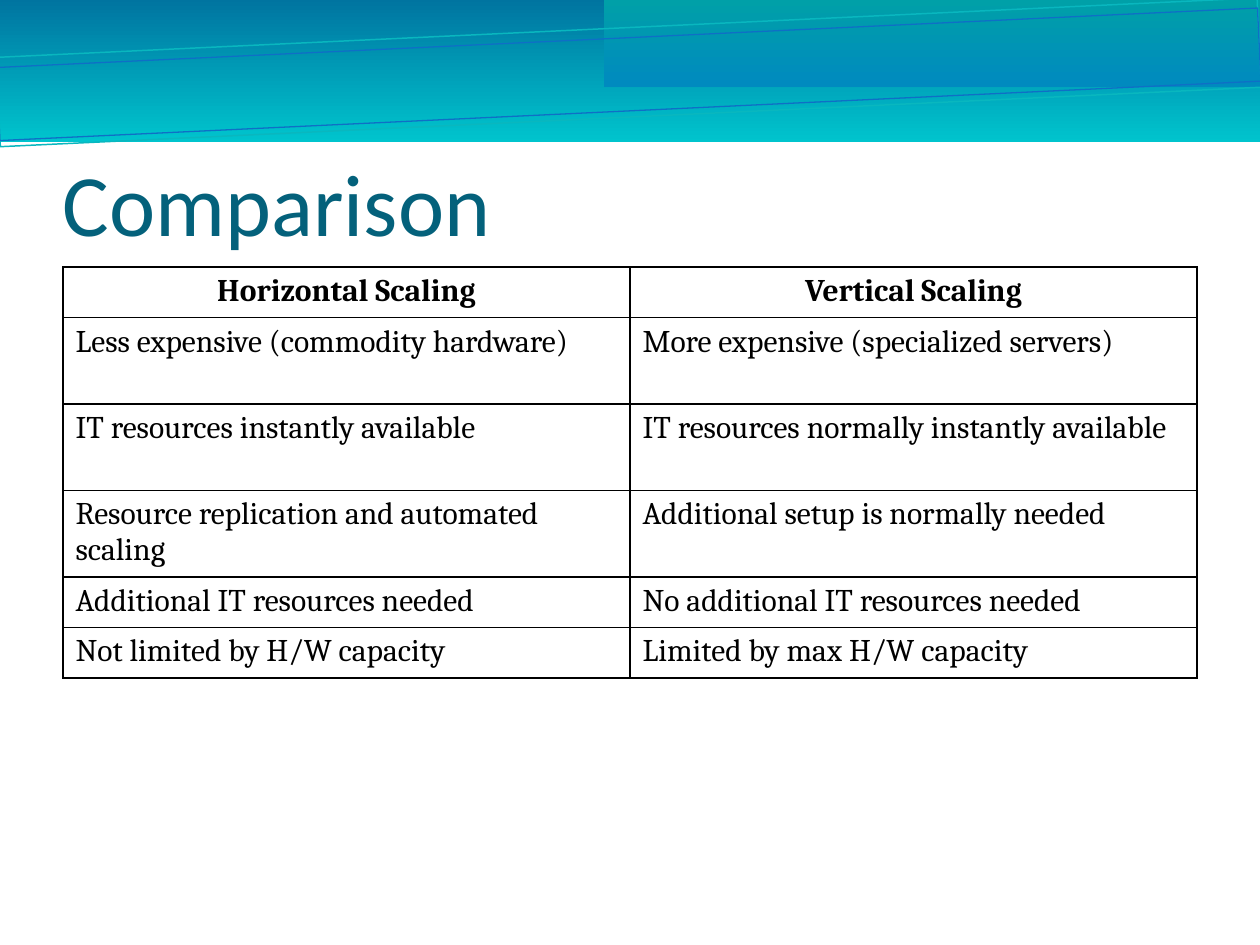
import pptx
import pptx.dml.color
import pptx.enum.shapes
import pptx.enum.text
import pptx.oxml
import pptx.oxml.ns
import pptx.util

Pt = pptx.util.Pt
RGBColor = pptx.dml.color.RGBColor
ALIGN = pptx.enum.text.PP_ALIGN

BLACK = RGBColor(0x00, 0x00, 0x00)
TITLE_TEAL = RGBColor(0x04, 0x61, 0x7B)
BAND_TOP = RGBColor(0x00, 0x74, 0xA0)
BAND_BOTTOM = RGBColor(0x00, 0xC4, 0xCD)
PANEL_BOTTOM = RGBColor(0x00, 0x8A, 0xBF)
PANEL_TOP = RGBColor(0x00, 0xA0, 0xA8)
RIBBON_TEAL = RGBColor(0x09, 0xB7, 0xBF)
RIBBON_BLUE = RGBColor(0x0F, 0x6F, 0xC6)

PAGE_WIDTH, PAGE_HEIGHT = 720, 540
RIBBON_TILT = -2.7

ROWS = [
    ("Horizontal Scaling", "Vertical Scaling"),
    ("Less expensive (commodity hardware)", "More expensive (specialized servers)"),
    ("IT resources instantly available", "IT resources normally instantly available"),
    ("Resource replication and automated scaling", "Additional setup is normally needed"),
    ("Additional IT resources needed", "No additional IT resources needed"),
    ("Not limited by H/W capacity", "Limited by max H/W capacity"),
]
SHORT_ROW, TALL_ROW = 28.9, 49.4
ROW_HEIGHTS = [SHORT_ROW] + [TALL_ROW] * 3 + [SHORT_ROW] * 2


def write_text(frame, text, font, size, color, bold=False, align=ALIGN.LEFT, spacing=None):
    para = frame.paragraphs[0]
    para.alignment = align
    para.line_spacing = spacing
    span = para.add_run()
    span.text = text
    span.font.name = font
    span.font.size = Pt(size)
    span.font.bold = bold
    span.font.color.rgb = color


def add_rectangle(page, box):
    shape = page.shapes.add_shape(
        pptx.enum.shapes.MSO_SHAPE.RECTANGLE, *[Pt(length) for length in box])
    shape.shadow.inherit = False
    return shape


def add_gradient(page, box, start, end, angle):
    """Angle is counter-clockwise: 270 runs downwards, 90 upwards."""
    shape = add_rectangle(page, box)
    shape.line.fill.background()
    shape.fill.gradient()
    shape.fill.gradient_angle = angle
    for stop, color in zip(shape.fill.gradient_stops, (start, end)):
        stop.color.rgb = color


def add_ribbon(page, box, color, width):
    shape = add_rectangle(page, box)
    shape.rotation = RIBBON_TILT
    shape.fill.background()
    shape.line.color.rgb = color
    shape.line.width = Pt(width)


def add_header(page, box):
    left, top, width, height = box
    add_gradient(page, box, BAND_TOP, BAND_BOTTOM, 270)
    panel_left = 345
    add_gradient(page, (panel_left, top, left + width - panel_left, 50.4),
                 PANEL_BOTTOM, PANEL_TOP, 90)
    add_ribbon(page, (left - 0.7, top + 16.5, width, 51.1), RIBBON_TEAL, 0.85)
    add_ribbon(page, (left - 0.7, top + 22.3, width, 41.8), RIBBON_BLUE, 0.75)


def add_title(page, box, text):
    frame = page.shapes.add_textbox(*[Pt(length) for length in box]).text_frame
    frame.word_wrap = True
    frame.vertical_anchor = pptx.enum.text.MSO_ANCHOR.BOTTOM
    frame.margin_left = frame.margin_right = frame.margin_bottom = 0
    frame.margin_top = Pt(3.6)
    write_text(frame, text, font="Calibri", size=50, color=TITLE_TEAL)


def add_borders(cell, color, width):
    properties = cell._tc.get_or_add_tcPr()
    for side in "LRTB":
        properties.append(pptx.oxml.parse_xml(
            f'<a:ln{side} {pptx.oxml.ns.nsdecls("a")} w="{Pt(width)}">'
            f'<a:solidFill><a:srgbClr val="{color}"/></a:solidFill></a:ln{side}>'))


def add_comparison(page, box):
    left, top, width = box
    table = page.shapes.add_table(
        len(ROWS), len(ROWS[0]), Pt(left), Pt(top), Pt(width), Pt(sum(ROW_HEIGHTS))).table
    table.horz_banding = False
    for column in table.columns:
        column.width = Pt(width / len(ROWS[0]))
    for row_index, (texts, height) in enumerate(zip(ROWS, ROW_HEIGHTS)):
        table.rows[row_index].height = Pt(height)
        heading = row_index == 0
        for column_index, text in enumerate(texts):
            cell = table.cell(row_index, column_index)
            add_borders(cell, BLACK, 1)
            cell.fill.background()
            write_text(cell.text_frame, text, font="Cambria", size=18, color=BLACK,
                       bold=heading, align=ALIGN.CENTER if heading else ALIGN.LEFT,
                       spacing=0.97)


def main():
    deck = pptx.Presentation()
    deck.slide_width, deck.slide_height = Pt(PAGE_WIDTH), Pt(PAGE_HEIGHT)
    page = deck.slides.add_slide(deck.slide_layouts[6])
    add_header(page, (-0.7, -0.7, 721.4, 82))
    add_title(page, (36, 55.4, 648, 90), "Comparison")
    add_comparison(page, (36, 152.6, 648))
    deck.save("out.pptx")


if __name__ == "__main__":
    main()
